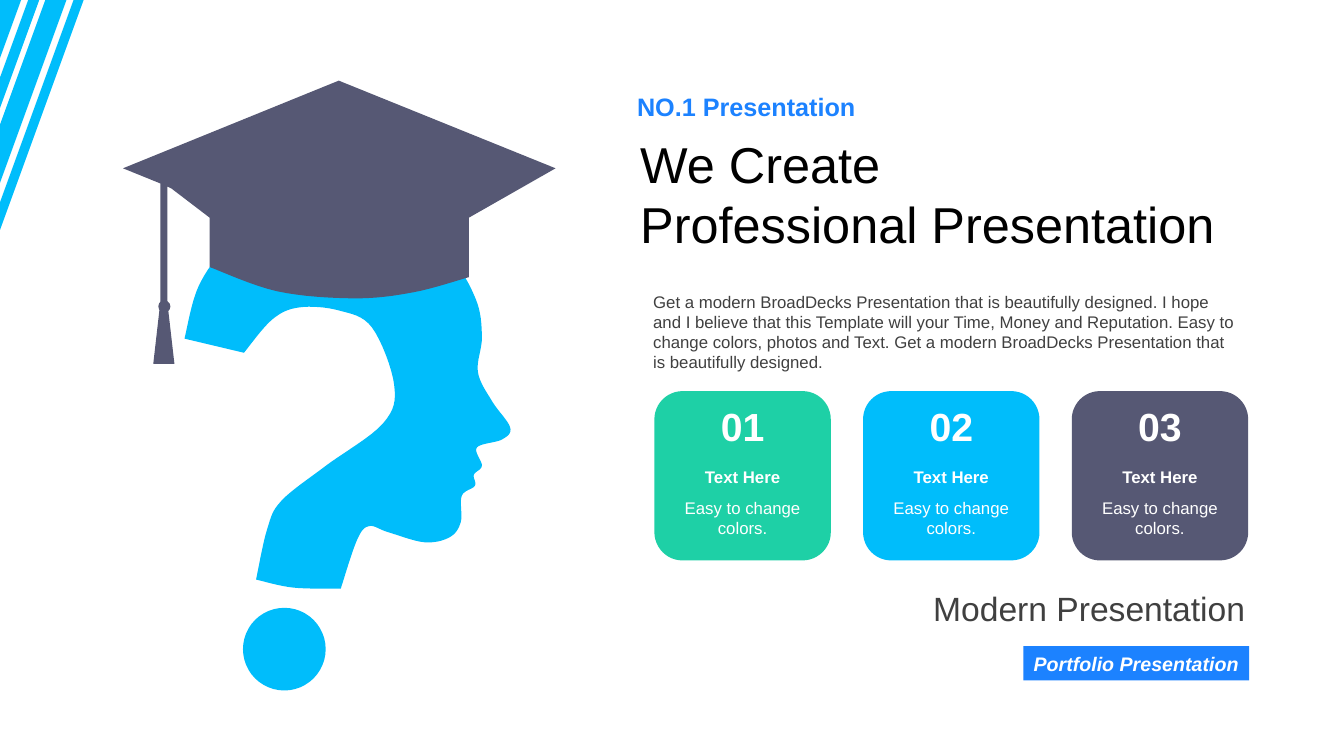
from pptx import Presentation
from pptx.dml.color import RGBColor
from pptx.enum.shapes import MSO_SHAPE
from pptx.enum.text import MSO_ANCHOR, PP_ALIGN
from pptx.util import Inches, Pt

RECT, ROUND_RECT, OVAL = MSO_SHAPE.RECTANGLE, MSO_SHAPE.ROUNDED_RECTANGLE, MSO_SHAPE.OVAL
TOP, MIDDLE = MSO_ANCHOR.TOP, MSO_ANCHOR.MIDDLE
LEFT, CENTER, RIGHT = PP_ALIGN.LEFT, PP_ALIGN.CENTER, PP_ALIGN.RIGHT

SKY = RGBColor(0x00, 0xBD, 0xFB)
SLATE = RGBColor(0x56, 0x58, 0x74)
GREEN = RGBColor(0x1E, 0xD0, 0xA6)
BLUE = RGBColor(0x1C, 0x82, 0xFF)
GREY = RGBColor(0x40, 0x40, 0x40)
BLACK = RGBColor(0x00, 0x00, 0x00)
WHITE = RGBColor(0xFF, 0xFF, 0xFF)

FONT = "Arial"
INSETS = (0.1, 0.05, 0.1, 0.05)
CURVE_STEPS = 8
STRIPE_SLOPE = 2.75
STRIPES = [(0, 0.21), (0.28, 0.39), (0.45, 0.66), (0.73, 0.83)]
CARD_LEFT, CARD_PITCH = 6.49, 2.07
CARD_COLORS = [GREEN, SKY, SLATE]

PROFILE = [
    (1.83, 3.36), (1.97, 2.84), (2.26, 2.45), (2.72, 2.17), (3.32, 2.08),
    (4.04, 2.24), (4.46, 2.54), (4.72, 2.97), (4.78, 3.34), (4.74, 3.69),
    (4.88, 3.98), (5.06, 4.24), (4.98, 4.36), (4.73, 4.44), (4.78, 4.62),
    (4.7, 4.71), (4.71, 4.82), (4.58, 4.92), (4.57, 5.18), (4.46, 5.33),
    (4.21, 5.38), (3.85, 5.28), (3.66, 5.22), (3.54, 5.36), (3.38, 5.84),
]
NECK = [(3.38, 5.84), (2.91, 5.83), (2.54, 5.75)]
HOOK = [
    (2.54, 5.75), (2.65, 5.25), (2.79, 4.97), (3.22, 4.63), (3.8, 4.2),
    (3.91, 3.82), (3.69, 3.25), (3.36, 3.08), (2.97, 3.05), (2.7, 3.17), (2.42, 3.5),
]
BOARD = [(4.65, 2.16), (5.51, 1.67), (3.36, 0.8), (1.22, 1.67), (1.59, 1.82)]
TASSEL = [(1.59, 3), (1.52, 3.61), (1.73, 3.61), (1.66, 3), (1.66, 1.85)]
CAP_SIDE = [(1.7, 1.87), (2.08, 2.16)]
CAP_RIM = [(2.08, 2.65), (2.75, 2.89), (3.51, 2.96), (4.1, 2.9), (4.65, 2.75)]


def smooth(points):
    """Return an open Catmull-Rom curve through the points."""
    padded = [points[0], *points, points[-1]]
    curve = [points[0]]
    for quad in zip(padded, padded[1:], padded[2:], padded[3:]):
        for i in range(1, CURVE_STEPS + 1):
            t = i / CURVE_STEPS
            curve.append(tuple(
                b + t * ((c - a) + t * ((2 * a - 5 * b + 4 * c - d)
                                        + t * (3 * b - a - 3 * c + d))) / 2
                for a, b, c, d in zip(*quad)))
    return curve


def paint(sp, color):
    """Give a shape a plain fill without line or shadow."""
    sp.shadow.inherit = False
    sp.fill.solid()
    sp.fill.fore_color.rgb = color
    sp.line.fill.background()


def add_outline(s, outlines, color):
    """Draw closed outlines as one filled freeform."""
    contours = [[(Inches(x), Inches(y)) for x, y in outline] for outline in outlines]
    builder = s.shapes.build_freeform(*contours[0][0])
    for contour in contours:
        builder.move_to(*contour[0])
        builder.add_line_segments(contour[1:], close=True)
    paint(builder.convert_to_shape(), color)


def add_block(s, kind, box, color):
    """Add a filled preset shape."""
    sp = s.shapes.add_shape(kind, *map(Inches, box))
    paint(sp, color)
    return sp


def write(sp, text, size, color, align=LEFT, bold=False, italic=False,
          anchor=TOP, insets=INSETS, wrap=True):
    """Fill a shape with formatted text."""
    tf = sp.text_frame
    tf.text = text
    tf.word_wrap = wrap
    tf.vertical_anchor = anchor
    tf.margin_left, tf.margin_top, tf.margin_right, tf.margin_bottom = map(Inches, insets)
    for p in tf.paragraphs:
        p.alignment = align
        for r in p.runs:
            r.font.name = FONT
            r.font.size = Pt(size)
            r.font.bold = bold
            r.font.italic = italic
            r.font.color.rgb = color


def add_text(s, box, text, size, color, **style):
    """Add a text box."""
    write(s.shapes.add_textbox(*map(Inches, box)), text, size, color, **style)


def add_card(s, index, color):
    """Add a numbered card with heading and caption."""
    x = CARD_LEFT + index * CARD_PITCH
    add_block(s, ROUND_RECT, (x, 3.88, 1.75, 1.68), color)
    add_text(s, (x + 0.38, 3.96, 0.99, 0.53), f"{index + 1:02}", 28, WHITE,
             align=CENTER, bold=True, anchor=MIDDLE)
    add_text(s, (x + 0.1, 4.58, 1.55, 0.3), "Text Here", 12, WHITE, align=CENTER, bold=True)
    add_text(s, (x + 0.1, 4.89, 1.55, 0.5), "Easy to change colors.", 12, WHITE, align=CENTER)


def main():
    """Build the slide and save it."""
    prs = Presentation()
    prs.slide_width, prs.slide_height = Inches(13.33), Inches(7.5)
    s = prs.slides.add_slide(prs.slide_layouts[6])

    add_outline(s, [smooth(PROFILE) + smooth(NECK) + smooth(HOOK)], SKY)
    add_block(s, OVAL, (2.41, 6.03, 0.82, 0.82), SKY)
    add_outline(s, [BOARD + TASSEL + CAP_SIDE + smooth(CAP_RIM)], SLATE)
    add_block(s, OVAL, (1.57, 2.98, 0.12, 0.12), SLATE)
    add_outline(s, [[(a, 0), (b, 0), (0, b * STRIPE_SLOPE), (0, a * STRIPE_SLOPE)]
                    for a, b in STRIPES], SKY)

    add_text(s, (6.22, 0.86, 6.17, 0.4), "NO.1 Presentation", 18, BLUE, bold=True)
    add_text(s, (6.3, 1.32, 6.09, 1.21), "We Create\nProfessional Presentation", 36, BLACK,
             insets=(0.05, 0, 0.03, 0))
    add_text(s, (6.38, 2.84, 6, 0.91),
             "Get a modern BroadDecks Presentation that is beautifully designed. "
             "I hope and I believe that this Template will your Time, Money and Reputation. "
             "Easy to change colors, photos and Text. "
             "Get a modern BroadDecks Presentation that is beautifully designed.", 12, GREY)
    for index, color in enumerate(CARD_COLORS):
        add_card(s, index, color)
    add_text(s, (8.98, 5.83, 3.41, 0.4), "Modern Presentation", 24, GREY,
             align=RIGHT, anchor=MIDDLE, insets=(0.04, 0, 0.04, 0))
    badge = add_block(s, RECT, (10.15, 6.41, 2.24, 0.34), BLUE)
    write(badge, "Portfolio Presentation", 14, WHITE, align=CENTER, bold=True, italic=True,
          anchor=MIDDLE, wrap=False)
    prs.save("out.pptx")


if __name__ == "__main__":
    main()
